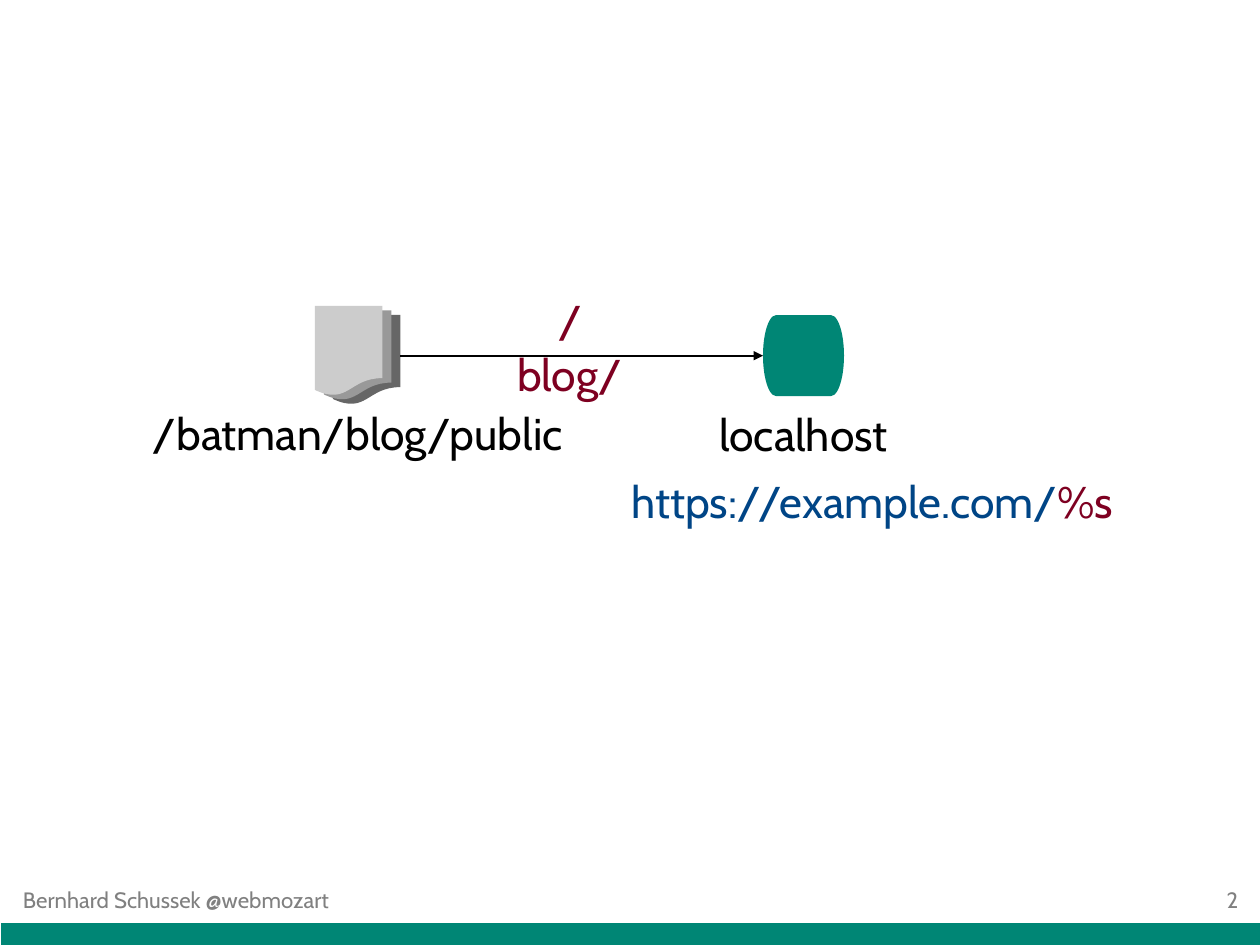
from lxml import etree
from pptx import Presentation
from pptx.dml.color import RGBColor
from pptx.enum.shapes import MSO_CONNECTOR, MSO_SHAPE
from pptx.enum.text import MSO_ANCHOR, PP_ALIGN
from pptx.oxml.ns import qn
from pptx.util import Inches, Pt

FONT = "Cabin"
TEAL, BLACK, GRAY = "008675", "000000", "808080"
BLUE, MAROON = "004586", "7E0021"
PAPERS = ["666666", "999999", "CCCCCC"]
CM = 1 / 2.54
SLIDE_W, SLIDE_H = 28 * CM, 21 * CM


def rgb(value):
    return RGBColor.from_string(value)


def write(sp, runs, size=28, align=PP_ALIGN.LEFT, anchor=MSO_ANCHOR.TOP,
          insets=(0.1, 0.05, 0.1, 0.05), wrap=True):
    tf = sp.text_frame
    tf.word_wrap = wrap
    tf.vertical_anchor = anchor
    tf.margin_left, tf.margin_top, tf.margin_right, tf.margin_bottom = map(Inches, insets)
    p = tf.paragraphs[0]
    p.alignment = align
    for text, color in runs:
        r = p.add_run()
        r.text = text
        r.font.name = FONT
        r.font.size = Pt(size)
        r.font.color.rgb = rgb(color)


def add_text(s, box, runs, **options):
    write(s.shapes.add_textbox(*map(Inches, box)), runs, **options)


def add_filled(shapes, kind, box, color):
    sp = shapes.add_shape(kind, *map(Inches, box))
    sp.shadow.inherit = False
    sp.fill.solid()
    sp.fill.fore_color.rgb = rgb(color)
    sp.line.fill.background()
    return sp


def write_caption(sp, text):
    write(sp, [(text, BLACK)], align=PP_ALIGN.CENTER, anchor=MSO_ANCHOR.BOTTOM,
          insets=(0.1, 0.05, 0.1, -0.67), wrap=False)


def add_documents(s, left, top, caption):
    group = s.shapes.add_group_shape()
    for i, color in enumerate(PAPERS):
        shift = 0.2 * CM * (2 - i)
        box = (left + shift, top + shift / 2, 1.5 * CM, 2 * CM)
        sp = add_filled(group.shapes, MSO_SHAPE.FLOWCHART_DOCUMENT, box, color)
        if i == 1:
            write_caption(sp, caption)
    return group


def add_server(s, left, top, size, caption):
    sp = add_filled(s.shapes, MSO_SHAPE.FLOWCHART_TERMINATOR, (left, top, size, size), TEAL)
    write_caption(sp, caption)
    return sp


def add_arrow(s, documents, server):
    y = server.top + server.height // 2
    start = documents.left + documents.width
    line = s.shapes.add_connector(MSO_CONNECTOR.STRAIGHT, start, y, server.left, y)
    line.end_connect(server, 1)
    line.line.color.rgb = rgb(BLACK)
    line.line.width = Pt(1.42)
    etree.SubElement(line.line._get_or_add_ln(), qn("a:tailEnd"), type="triangle")
    etree.SubElement(line._element.spPr, qn("a:effectLst"))


def add_mapping(s, left, top):
    server = add_server(s, left + 3.92, top + 0.08, 1.8 * CM, "localhost")
    add_text(s, (left + 2.67, top + 1.42, 4.63, 0.63),
             [("https://example.com/", BLUE), ("%s", MAROON)])
    documents = add_documents(s, left, top, "/batman/blog/public")
    add_text(s, (left + 1.58, top - 0.16, 1.3, 0.63), [("/blog/", MAROON)],
             align=PP_ALIGN.CENTER, insets=(0.15, 0.05, 0.15, 0.05))
    add_arrow(s, documents, server)


def add_footer(s, top, author, number):
    add_filled(s.shapes, MSO_SHAPE.RECTANGLE, (0.01, top + 0.4, SLIDE_W, 0.5 * CM), TEAL)
    for left, width, text, align in (
        (0, 5.51, author, PP_ALIGN.LEFT),
        (SLIDE_W - 2.56, 2.57, number, PP_ALIGN.RIGHT),
    ):
        add_text(s, (left, top, width, 1 * CM), [(text, GRAY)], size=14, align=align,
                 anchor=MSO_ANCHOR.MIDDLE, insets=(0.2, 0, 0.2, 0))


def main():
    prs = Presentation()
    prs.slide_width, prs.slide_height = Inches(SLIDE_W), Inches(SLIDE_H)
    s = prs.slides.add_slide(prs.slide_layouts[6])
    add_mapping(s, 7 * CM, 6.8 * CM)
    add_footer(s, 19.5 * CM, "Bernhard Schussek @webmozart", "2")
    prs.save("out.pptx")


if __name__ == "__main__":
    main()
